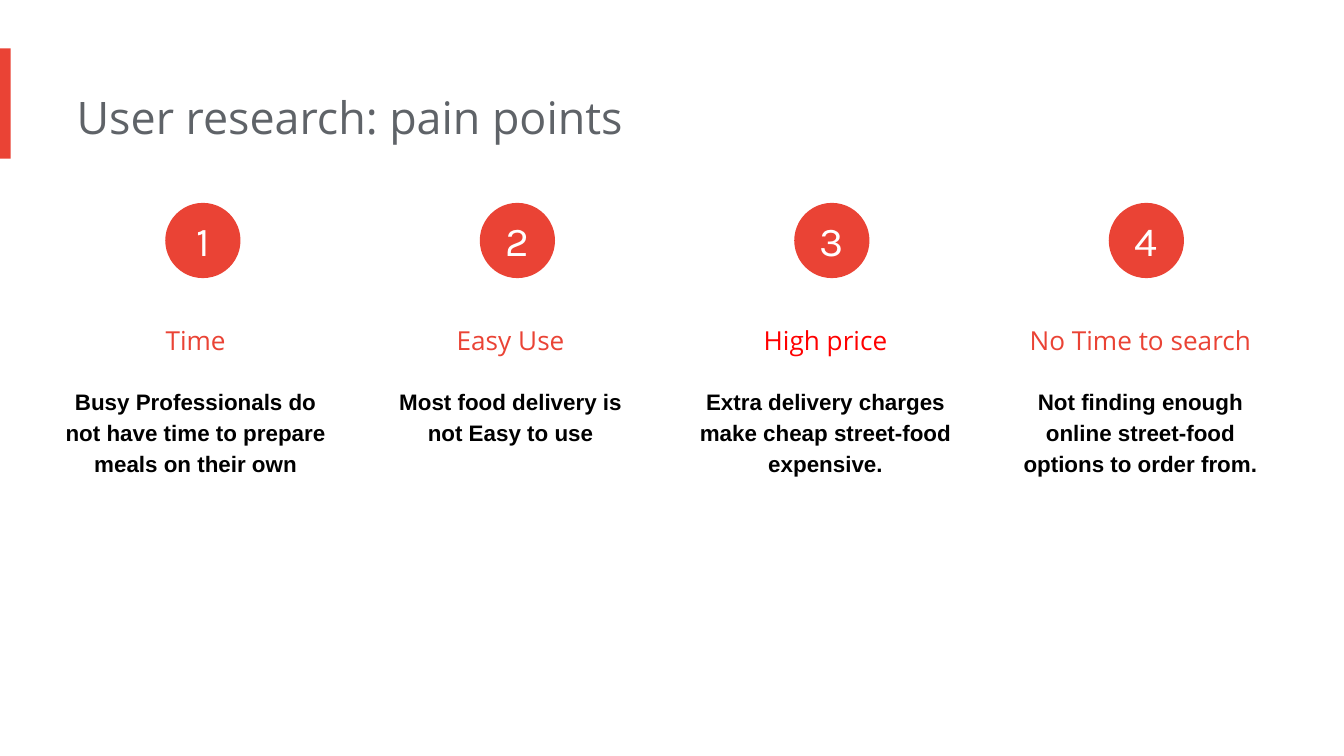
from pptx import Presentation
from pptx.dml.color import RGBColor
from pptx.enum.shapes import MSO_SHAPE as Shape
from pptx.enum.text import MSO_ANCHOR as Anchor, MSO_AUTO_SIZE as AutoSize, PP_ALIGN as Align
from pptx.util import Inches, Pt

COLORS = {"accent": "EA4335", "red": "FF0000", "gray": "5F6368", "black": "000000", "white": "FFFFFF"}

TITLE = "User research: pain points"
PAIN_POINTS = [
    ("Time", "accent", "Busy Professionals do not have time to prepare meals on their own", 0.9),
    ("Easy Use", "accent", "Most food delivery is not Easy to use", 0.67),
    ("High price", "red", "Extra delivery charges make cheap street-food expensive.", 0.9),
    ("No Time to search", "accent", "Not finding enough online street-food options to order from.", 0.9),
]

TITLE_FONT = {"name": "Open Sans", "size": Pt(24), "bold": False}
HEADING_FONT = {"name": "Open Sans", "size": Pt(14)}
BODY_FONT = {"name": "Arial", "size": Pt(12), "bold": True}
NUMBER_FONT = {"name": "Karla", "size": Pt(22)}

TEXT_FRAME = {
    "word_wrap": True, "auto_size": AutoSize.SHAPE_TO_FIT_TEXT, "vertical_anchor": Anchor.TOP,
    "margin_left": 0, "margin_top": Inches(0.1), "margin_right": Inches(0.1), "margin_bottom": Inches(0.1),
}
NUMBER_FRAME = {
    "word_wrap": True, "vertical_anchor": Anchor.MIDDLE,
    "margin_left": 0, "margin_top": 0, "margin_right": 0, "margin_bottom": 0,
}

PAGE_WIDTH = 10
PAGE_HEIGHT = PAGE_WIDTH * 9 / 16
FIRST_LEFT, LAST_LEFT, COLUMN_WIDTH = 0.48, 7.51, 2.05
COLUMN_STEP = (LAST_LEFT - FIRST_LEFT) / (len(PAIN_POINTS) - 1)
CIRCLE_LEFT, CIRCLE_STEP, CIRCLE_SIZE = 1.23, 2.34, 0.56


def apply(target, values):
    for name, value in values.items():
        setattr(target, name, value)


def write(box, text, frame, font, color, align=Align.CENTER, spacing=1.0):
    apply(box.text_frame, frame)
    para = box.text_frame.paragraphs[0]
    apply(para, {"alignment": align, "line_spacing": spacing})
    span = para.add_run()
    span.text = text
    apply(span.font, font)
    span.font.color.rgb = RGBColor.from_string(COLORS[color])


def add_accent_shape(page, kind, left, top, width, height):
    shape = page.shapes.add_shape(kind, Inches(left), Inches(top), Inches(width), Inches(height))
    shape.shadow.inherit = False
    shape.fill.solid()
    shape.fill.fore_color.rgb = RGBColor.from_string(COLORS["accent"])
    shape.line.fill.background()
    return shape


def add_text(page, column, top, height, text, font, color, spacing):
    left = FIRST_LEFT + column * COLUMN_STEP
    box = page.shapes.add_textbox(Inches(left), Inches(top), Inches(COLUMN_WIDTH), Inches(height))
    write(box, text, TEXT_FRAME, font, color, spacing=spacing)


def main():
    deck = Presentation()
    apply(deck, {"slide_width": Inches(PAGE_WIDTH), "slide_height": Inches(PAGE_HEIGHT)})
    page = deck.slides.add_slide(deck.slide_layouts[5])

    add_accent_shape(page, Shape.RECTANGLE, 0, 0.36, 0.08, 0.82)
    title = page.shapes.title
    apply(title, {"left": Inches(0.57), "top": Inches(0.57), "width": Inches(6.73), "height": Inches(0.61)})
    write(title, TITLE, TEXT_FRAME, TITLE_FONT, "gray", Align.LEFT)

    for column, (heading, color, body, height) in enumerate(PAIN_POINTS):
        add_text(page, column, 2.2, 0.56, heading, HEADING_FONT, color, 1.5)
        add_text(page, column, 2.76, height, body, BODY_FONT, "black", 1.15)
        circle_left = CIRCLE_LEFT + column * CIRCLE_STEP
        circle = add_accent_shape(page, Shape.OVAL, circle_left, 1.51, CIRCLE_SIZE, CIRCLE_SIZE)
        write(circle, str(column + 1), NUMBER_FRAME, NUMBER_FONT, "white")

    deck.save("out.pptx")


if __name__ == "__main__":
    main()
